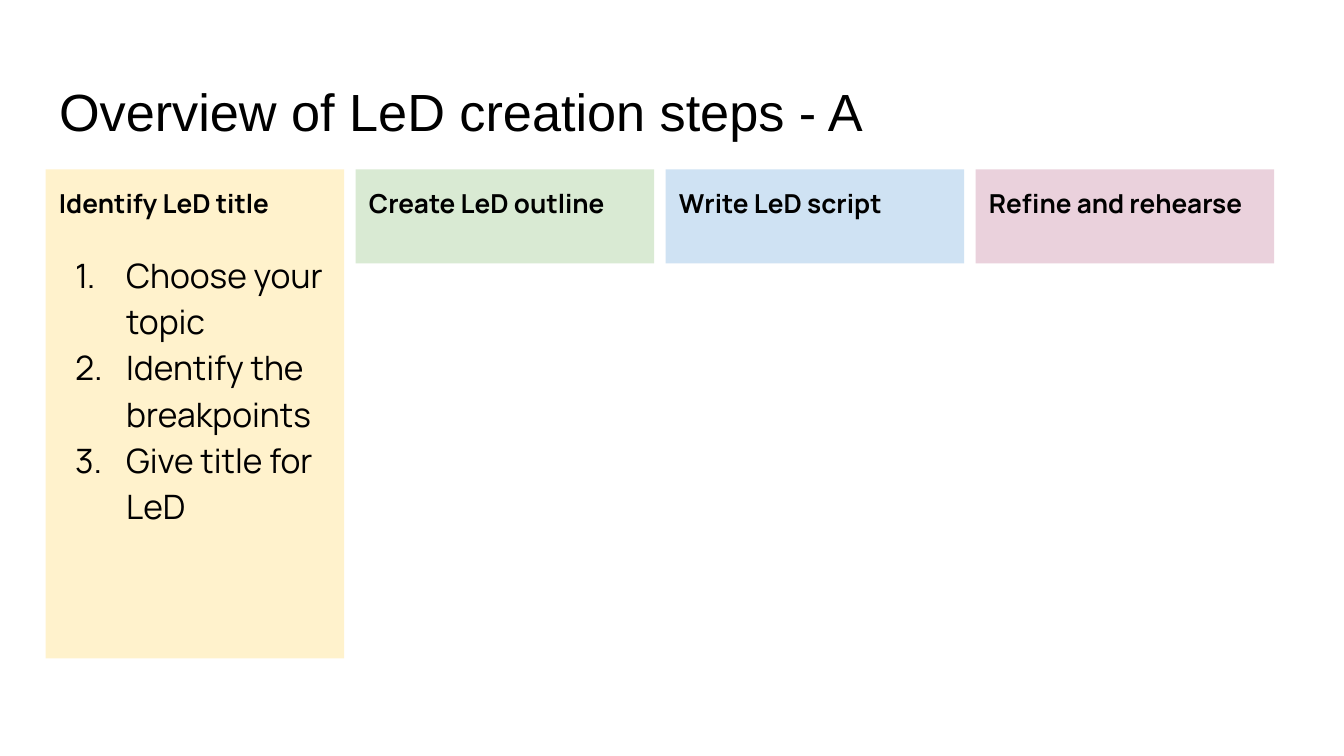
from pptx import Presentation
from pptx.dml.color import RGBColor
from pptx.enum.shapes import MSO_SHAPE as Shape
from pptx.enum.text import MSO_ANCHOR as Anchor, PP_ALIGN as Align
from pptx.oxml.xmlchemy import OxmlElement as Element
from pptx.util import Inches, Pt

TITLE = "Overview of LeD creation steps - A"
STAGES = [
    ("Identify LeD title", "FFF2CC",
     ["Choose your topic", "Identify the breakpoints", "Give title for LeD"]),
    ("Create LeD outline", "D9EAD3", []),
    ("Write LeD script", "CFE2F3", []),
    ("Refine and rehearse", "EAD1DC", []),
]
THEME = {
    "ink": "000000", "title_font": "Arial", "body_font": "Manrope",
    "title_size": 28, "heading_size": 14, "step_size": 18,
}
SLIDE_WIDTH = 10
SLIDE_HEIGHT = SLIDE_WIDTH * 9 / 16
LEFT, LAST_LEFT, TOP, WIDTH = 0.34, 7.26, 1.26, 2.22
HEADING_HEIGHT, LIST_HEIGHT = 0.7, 3.64
PITCH = (LAST_LEFT - LEFT) / (len(STAGES) - 1)


def prepare_frame(frame):
    frame.word_wrap = True
    frame.vertical_anchor = Anchor.TOP
    frame.margin_left = frame.margin_right = Inches(0.1)
    frame.margin_top = frame.margin_bottom = Inches(0.1)


def write(para, text, font, size, bold=False):
    para.text = text
    para.alignment = Align.LEFT
    para.font.name = font
    para.font.size = Pt(size)
    para.font.bold = bold
    para.font.color.rgb = RGBColor.from_string(THEME["ink"])


def number(para):
    properties = para._p.get_or_add_pPr()
    properties.set("marL", str(Inches(0.5)))
    properties.set("indent", str(Inches(-0.38)))
    bullet = Element("a:buAutoNum")
    bullet.set("type", "arabicPeriod")
    properties.insert_element_before(bullet, "a:tabLst", "a:defRPr", "a:extLst")


def add_stage(slide, index, heading, color, steps):
    height = LIST_HEIGHT if steps else HEADING_HEIGHT
    box = slide.shapes.add_shape(
        Shape.RECTANGLE, Inches(LEFT + index * PITCH), Inches(TOP),
        Inches(WIDTH), Inches(height))
    box.shadow.inherit = False
    box.fill.solid()
    box.fill.fore_color.rgb = RGBColor.from_string(color)
    box.line.fill.background()
    frame = box.text_frame
    prepare_frame(frame)
    para = frame.paragraphs[0]
    write(para, heading, THEME["body_font"], THEME["heading_size"], True)
    para.line_spacing = 1.15
    for position, step in enumerate(steps):
        para = frame.add_paragraph()
        write(para, step, THEME["body_font"], THEME["step_size"])
        para.line_spacing = 1.15
        para.space_before = Pt(0 if position else 16)
        number(para)


def main():
    """Build the slide that gives an overview of the creation steps."""
    deck = Presentation()
    deck.slide_width, deck.slide_height = Inches(SLIDE_WIDTH), Inches(SLIDE_HEIGHT)
    slide = deck.slides.add_slide(deck.slide_layouts[5])
    title = slide.shapes.title
    title.left, title.top = Inches(LEFT), Inches(0.49)
    title.width, title.height = Inches(9.32), Inches(0.63)
    prepare_frame(title.text_frame)
    write(title.text_frame.paragraphs[0], TITLE,
          THEME["title_font"], THEME["title_size"])
    for index, stage in enumerate(STAGES):
        add_stage(slide, index, *stage)
    deck.save("out.pptx")


if __name__ == "__main__":
    main()
